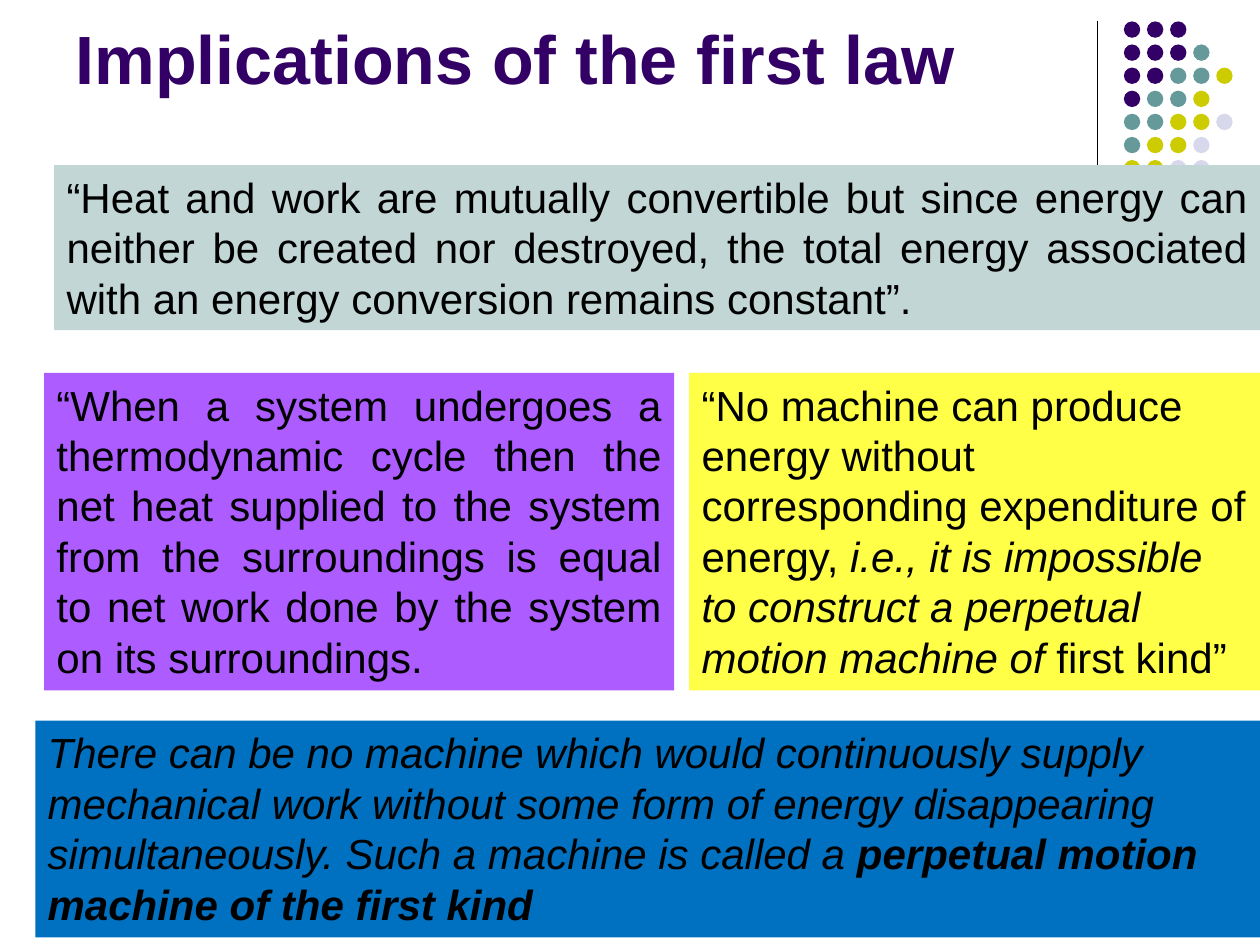
from lxml.etree import SubElement
from pptx import Presentation
from pptx.dml.color import RGBColor
from pptx.enum.shapes import MSO_CONNECTOR, MSO_SHAPE
from pptx.enum.text import MSO_ANCHOR, MSO_AUTO_SIZE, PP_ALIGN
from pptx.oxml.ns import qn
from pptx.util import Inches, Pt

BLACK = RGBColor(0x00, 0x00, 0x00)
PURPLE = RGBColor(0x33, 0x00, 0x66)
TEAL = RGBColor(0x66, 0x99, 0x99)
OLIVE = RGBColor(0xCC, 0xCC, 0x00)
LAVENDER = RGBColor(0xD8, 0xD8, 0xEC)
PALE_TEAL = RGBColor(0xC2, 0xD6, 0xD6)
VIOLET = RGBColor(0xAD, 0x5C, 0xFF)
YELLOW = RGBColor(0xFF, 0xFF, 0x47)
BLUE = RGBColor(0x00, 0x70, 0xC0)

FONT = "Arial"
DOT_COLORS = {"P": PURPLE, "T": TEAL, "O": OLIVE, "L": LAVENDER}
DOT_ROWS = ["PPP", "PPPT", "PPTTO", "PTTO", "TTOOL", "TOOL", "OOLL"]
DOT_LEFT, DOT_TOP, DOT_SIZE = 8.92, 0.17, 0.13
DOT_PITCH = 1.1 / 6

# Each statement: box (left, top, width, height), fill, alignment,
# and runs of (text, bold, italic).
STATEMENTS = [
    ((0.43, 1.31, 9.57, 1.31), PALE_TEAL, PP_ALIGN.JUSTIFY, [
        ("“Heat and work are mutually convertible but since energy can neither be "
         "created nor destroyed, the total energy associated with an energy "
         "conversion remains constant”.", False, False)]),
    ((0.35, 2.96, 5, 2.52), VIOLET, PP_ALIGN.JUSTIFY, [
        ("“When a system undergoes a thermodynamic cycle then the net heat supplied "
         "to the system from the surroundings is equal to net work done by the "
         "system on its surroundings.", False, False)]),
    ((5.47, 2.96, 4.53, 2.52), YELLOW, PP_ALIGN.LEFT, [
        ("“No machine can produce energy without corresponding expenditure of "
         "energy, ", False, False),
        ("i.e., it is impossible to construct a perpetual motion machine of ",
         False, True),
        ("first kind”", False, False)]),
    ((0.28, 5.72, 9.72, 1.72), BLUE, PP_ALIGN.LEFT, [
        ("There can be no machine which would continuously supply mechanical work "
         "without some form of energy disappearing simultaneously. Such a machine "
         "is called a ", False, True),
        ("perpetual motion machine of the first kind", True, True)]),
]


def add_run(paragraph, text, size, color, bold=False, italic=False):
    run = paragraph.add_run()
    run.text = text
    font = run.font
    font.name, font.size = FONT, Pt(size)
    font.bold, font.italic = bold, italic
    font.color.rgb = color


def add_filled_shape(slide, kind, box, color):
    shape = slide.shapes.add_shape(kind, *(Inches(length) for length in box))
    shape.shadow.inherit = False
    shape.fill.solid()
    shape.fill.fore_color.rgb = color
    shape.line.fill.background()
    return shape


def add_divider(slide):
    line = slide.shapes.add_connector(
        MSO_CONNECTOR.STRAIGHT,
        Inches(8.71), Inches(0.17), Inches(8.71), Inches(1.83))
    line.line.color.rgb = BLACK
    line.line.width = Pt(0.75)
    SubElement(line._element.spPr, qn("a:effectLst"))


def add_dots(slide):
    for row, codes in enumerate(DOT_ROWS):
        for column, code in enumerate(codes):
            box = (DOT_LEFT + column * DOT_PITCH, DOT_TOP + row * DOT_PITCH,
                   DOT_SIZE, DOT_SIZE)
            add_filled_shape(slide, MSO_SHAPE.OVAL, box, DOT_COLORS[code])


def set_title(slide, text):
    title = slide.shapes.title
    title.left, title.top = Inches(0.5), Inches(0.13)
    title.width, title.height = Inches(8.25), Inches(0.7)
    frame = title.text_frame
    frame.auto_size = MSO_AUTO_SIZE.NONE
    frame.vertical_anchor = MSO_ANCHOR.BOTTOM
    paragraph = frame.paragraphs[0]
    paragraph.alignment = PP_ALIGN.LEFT
    add_run(paragraph, text, 39, PURPLE, bold=True)


def add_statement(slide, box, color, alignment, runs):
    shape = add_filled_shape(slide, MSO_SHAPE.RECTANGLE, box, color)
    frame = shape.text_frame
    frame.word_wrap = True
    frame.auto_size = MSO_AUTO_SIZE.SHAPE_TO_FIT_TEXT
    frame.vertical_anchor = MSO_ANCHOR.TOP
    paragraph = frame.paragraphs[0]
    paragraph.alignment = alignment
    for text, bold, italic in runs:
        add_run(paragraph, text, 24, BLACK, bold, italic)


def main():
    presentation = Presentation()
    presentation.slide_width, presentation.slide_height = Inches(10), Inches(7.5)
    slide = presentation.slides.add_slide(presentation.slide_layouts[5])
    add_divider(slide)
    add_dots(slide)
    set_title(slide, "Implications of the first law")
    for statement in STATEMENTS:
        add_statement(slide, *statement)
    presentation.save("out.pptx")


if __name__ == "__main__":
    main()
